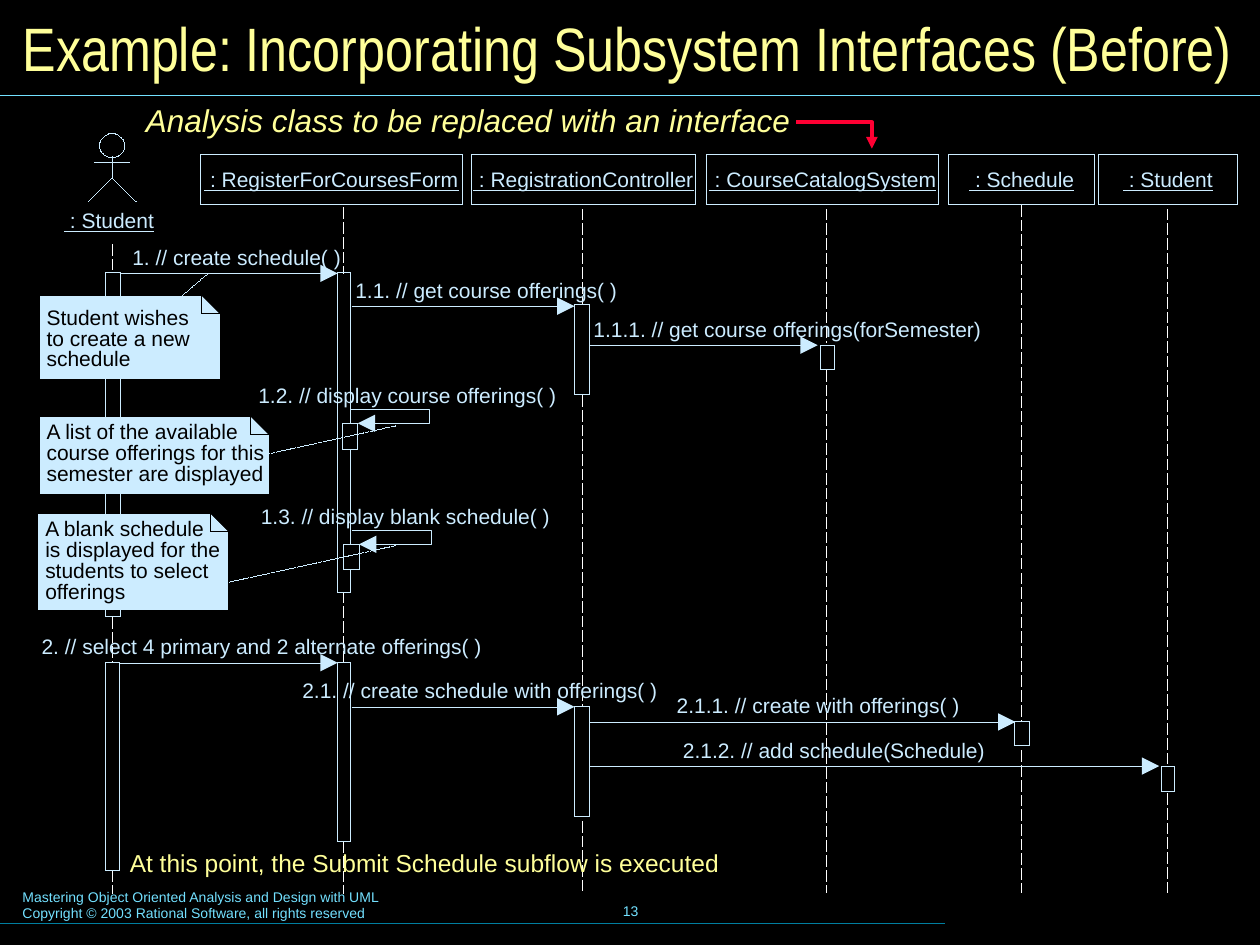
import lxml.etree
import pptx
import pptx.dml.color
import pptx.enum.dml
import pptx.enum.shapes
import pptx.enum.text
import pptx.oxml.ns
import pptx.util

ICE, CREAM, AQUA, BLACK, WHITE = "CCECFF", "FFFF99", "73E1FF", "000000", "FFFFFF"
HAIRLINE = 0.01
LIFELINE = pptx.enum.dml.MSO_LINE.LONG_DASH
NOTE_LINK = pptx.enum.dml.MSO_LINE.SQUARE_DOT
PRESET = pptx.enum.shapes.MSO_SHAPE
ALIGN = pptx.enum.text.PP_ALIGN
ANCHOR = pptx.enum.text.MSO_ANCHOR


def span(inches):
    """Turn a distance on the inch grid into a Cm length."""
    return pptx.util.Cm(inches * 2.54)


def color(code):
    """Turn a hex string into a colour."""
    return pptx.dml.color.RGBColor.from_string(code)


def style_line(shape, code, width=HAIRLINE, dash=None, head=None):
    """Set colour, width, dash and the size of an end arrowhead."""
    shape.line.color.rgb = color(code)
    shape.line.width = pptx.util.Pt(width)
    if dash:
        shape.line.dash_style = dash
    if head:
        outline = shape.element.spPr.find(pptx.oxml.ns.qn("a:ln"))
        lxml.etree.SubElement(outline, pptx.oxml.ns.qn("a:tailEnd"),
                              type="triangle", w=head, len=head)


def style_fill(shape, fill):
    """Fill a shape, or leave it hollow, without a shadow."""
    shape.shadow.inherit = False
    if fill:
        shape.fill.solid()
        shape.fill.fore_color.rgb = color(fill)
    else:
        shape.fill.background()


def add_line(shapes, start, end, code=ICE, width=HAIRLINE, dash=None, head=None):
    """Add a straight line between two points."""
    line = shapes.add_connector(pptx.enum.shapes.MSO_CONNECTOR.STRAIGHT,
                                *map(span, (*start, *end)))
    style_line(line, code, width, dash, head)
    lxml.etree.SubElement(line.element.spPr, pptx.oxml.ns.qn("a:effectLst"))


def add_path(shapes, points, code=ICE, width=HAIRLINE, fill=None, head=None, close=False):
    """Add an outline through the given points."""
    first, *rest = [(span(x), span(y)) for x, y in points]
    builder = shapes.build_freeform(*first)
    builder.add_line_segments(rest, close=close)
    path = builder.convert_to_shape()
    style_fill(path, fill)
    style_line(path, code, width, head=head)


def add_outline(shapes, box, preset=PRESET.RECTANGLE):
    """Add a hollow preset shape."""
    outline = shapes.add_shape(preset, *map(span, box))
    style_fill(outline, None)
    style_line(outline, ICE)
    return outline


def write(frame, lines, size, code, face="Arial", align=ALIGN.LEFT, pitch=None,
          italic=False, underline=False):
    """Write lines as paragraphs in one font."""
    frame.text = "\n".join(lines)
    for paragraph in frame.paragraphs:
        paragraph.alignment = align
        paragraph.line_spacing = pitch
        font = paragraph.font
        font.name, font.size = face, pptx.util.Pt(size)
        font.color.rgb = color(code)
        font.italic, font.underline = italic, underline


def set_margins(frame, side, edge):
    """Set the side margins and the top and bottom margins."""
    frame.margin_left = frame.margin_right = span(side)
    frame.margin_top = frame.margin_bottom = span(edge)


def add_text(shapes, box, lines, size=12, code=ICE, margins=(0, 0), wrap=False,
             anchor=ANCHOR.TOP, **looks):
    """Add a text box."""
    frame = shapes.add_textbox(*map(span, box)).text_frame
    set_margins(frame, *margins)
    frame.word_wrap = wrap
    frame.vertical_anchor = anchor
    write(frame, lines, size, code, **looks)


def add_participant(shapes, name, left, width):
    """Add the header box of a lifeline."""
    frame = add_outline(shapes, (left, 1.23, width, 0.39)).text_frame
    set_margins(frame, 0, 0)
    frame.word_wrap = False
    frame.vertical_anchor = ANCHOR.MIDDLE
    write(frame, [name], 12, ICE, align=ALIGN.CENTER, underline=True)


def add_message(shapes, label, left, width, y, start, end):
    """Add a message arrow with its label above."""
    add_line(shapes, (start, y), (end, y), head="lg")
    add_text(shapes, (left, y - 0.23, width, 0.2), [label])


def add_self_message(shapes, label, left, width, x, y):
    """Add a message that returns to its own lifeline."""
    add_path(shapes, [(x, y), (x + 0.63, y), (x + 0.63, y + 0.11), (x + 0.06, y + 0.11)],
             width=0.25, head="lg")
    add_text(shapes, (left, y - 0.21, width, 0.2), [label])


def add_note(shapes, left, top, width, height, inset, lines):
    """Add a note with a folded corner."""
    right, bottom, fold = left + width, top + height, 0.14
    crease = (right - fold, top)
    add_path(shapes, [(left, top), crease, (right, top + fold), (right, bottom),
                      (left, bottom)], fill=ICE, close=True)
    add_path(shapes, [crease, (right - fold, top + fold), (right, top + fold)],
             BLACK, fill=ICE)
    add_text(shapes, (left + 0.05, top + inset, width, height - inset), lines,
             code=BLACK, wrap=True, pitch=pptx.util.Pt(11.9))


def add_actor(shapes, x):
    """Add the stick figure of the actor and its name."""
    actor = shapes.add_group_shape().shapes
    add_outline(actor, (x - 0.1, 1.06, 0.2, 0.19), PRESET.OVAL)
    add_line(actor, (x, 1.24), (x, 1.41))
    add_line(actor, (x - 0.14, 1.29), (x + 0.14, 1.29))
    add_path(actor, [(x - 0.19, 1.6), (x, 1.41), (x + 0.19, 1.6)])
    add_text(shapes, (0.51, 1.65, 0.9, 0.2), [" : Student"], wrap=True, underline=True)


def add_frame(slide):
    """Add the title, the rules and the footer."""
    title = slide.shapes.title
    title.left, title.top, title.width, title.height = map(span, (0.08, 0.08, 9.84, 0.58))
    frame = title.text_frame
    frame.auto_size = pptx.enum.text.MSO_AUTO_SIZE.NONE
    frame.vertical_anchor = ANCHOR.MIDDLE
    set_margins(frame, 0.1, 0.05)
    write(frame, ["Example: Incorporating Subsystem Interfaces (Before)"], 35, CREAM,
          face="Arial Narrow")
    add_line(slide.shapes, (0, 0.76), (10, 0.76), AQUA, 0.75)
    add_line(slide.shapes, (0, 7.33), (7.5, 7.33), "007E9F", 0.75)
    add_text(slide.shapes, (0.08, 7, 5.1, 0.37),
             ["Mastering Object Oriented Analysis and Design with UML",
              "Copyright © 2003 Rational Software, all rights reserved"],
             8, AQUA, (0.1, 0.05), wrap=True)
    add_text(slide.shapes, (3.42, 6.98, 3.17, 0.5), ["13"], 8, AQUA, (0.1, 0.05),
             anchor=ANCHOR.MIDDLE, align=ALIGN.CENTER)


def main():
    """Build the sequence diagram slide."""
    deck = pptx.Presentation()
    deck.slide_width, deck.slide_height = span(10), span(7.5)
    slide = deck.slides.add_slide(deck.slide_layouts[5])
    slide.background.fill.solid()
    slide.background.fill.fore_color.rgb = color(BLACK)
    shapes = slide.shapes
    add_frame(slide)

    lifelines = {0.89: [(1.94, 2.16), (4.9, 5.26), (6.91, 7.09)],
                 2.73: [(1.65, 2.17), (4.7, 5.26), (6.68, 7.09)],
                 4.62: [(1.66, 2.42), (3.14, 5.61), (6.52, 7.08)],
                 6.56: [(1.66, 2.72), (2.94, 7.08)],
                 8.11: [(1.63, 5.72), (5.96, 7.08)],
                 9.27: [(1.66, 6.07), (6.3, 7.08)]}
    for x, stretches in lifelines.items():
        for top, bottom in stretches:
            add_line(shapes, (x, top), (x, bottom), WHITE, dash=LIFELINE)
    for start, end in [((1.44, 2.35), (1.65, 2.17)), ((1.82, 3.67), (3.14, 3.38)),
                       ((1.82, 4.62), (3.14, 4.33))]:
        add_line(shapes, start, end, dash=NOTE_LINK)

    for participant in [(" : RegisterForCoursesForm", 1.59, 2.08),
                        (" : RegistrationController", 3.74, 1.78),
                        (" : CourseCatalogSystem", 5.61, 1.84),
                        (" : Schedule", 7.53, 1.16), (" : Student", 8.72, 1.1)]:
        add_participant(shapes, *participant)
    for activation in [(0.84, 2.16, 0.12, 2.73), (0.84, 5.26, 0.11, 1.65),
                       (2.72, 3.36, 0.12, 0.21), (2.73, 4.32, 0.12, 0.2),
                       (2.68, 5.26, 0.1, 1.42), (4.56, 2.42, 0.12, 0.71),
                       (4.56, 5.61, 0.12, 0.87), (6.51, 2.74, 0.11, 0.19),
                       (8.05, 5.73, 0.12, 0.19), (9.22, 6.08, 0.1, 0.2)]:
        add_outline(shapes, activation)
    add_path(shapes, [(2.78, 3.36), (2.78, 2.16), (2.68, 2.16), (2.68, 4.7),
                      (2.78, 4.7), (2.78, 4.53)])
    add_line(shapes, (2.78, 3.57), (2.78, 4.31))

    for message in [
            ("1. // create schedule( )", 1.05, 1.66, 2.17, 0.95, 2.68),
            ("1.1. // get course offerings( )", 2.82, 2.09, 2.43, 2.79, 4.56),
            ("1.1.1. // get course offerings(forSemester)", 4.71, 3.09, 2.74, 4.68, 6.49),
            ("2. // select 4 primary and 2 alternate offerings( )", 0.33, 3.5, 5.26, 0.95, 2.68),
            ("2.1. // create schedule with offerings( )", 2.4, 2.83, 5.61, 2.79, 4.56),
            ("2.1.1. // create with offerings( )", 5.37, 2.25, 5.73, 4.68, 8.06),
            ("2.1.2. // add schedule(Schedule)", 5.42, 2.4, 6.08, 4.68, 9.2)]:
        add_message(shapes, *message)
    add_self_message(shapes, "1.2. // display course offerings( )", 2.05, 2.37, 2.78, 3.25)
    add_self_message(shapes, "1.3. // display blank schedule( )", 2.07, 2.3, 2.79, 4.21)

    add_note(shapes, 0.32, 2.35, 1.42, 0.65, 0.1,
             ["Student wishes", "to create a new", "schedule"])
    add_note(shapes, 0.32, 3.31, 1.81, 0.61, 0.05,
             ["A list of the available", "course offerings for this", "semester are displayed"])
    add_note(shapes, 0.31, 4.08, 1.5, 0.76, 0.05,
             ["A blank schedule", "is displayed for the", "students to select", "offerings"])

    add_text(shapes, (1.06, 0.75, 5.38, 0.4),
             ["Analysis class to be replaced with an interface"], 18, CREAM,
             (0.1, 0.05), wrap=True, italic=True)
    add_path(shapes, [(6.32, 0.97), (6.92, 0.97), (6.92, 1.18)], "FF0033", 2.25, head="med")
    add_text(shapes, (0.91, 6.67, 5.58, 0.35),
             ["At this point, the Submit Schedule subflow is executed"], 14, CREAM,
             (0.12, 0.06), wrap=True)
    add_actor(shapes, 0.89)
    deck.save("out.pptx")


if __name__ == "__main__":
    main()
